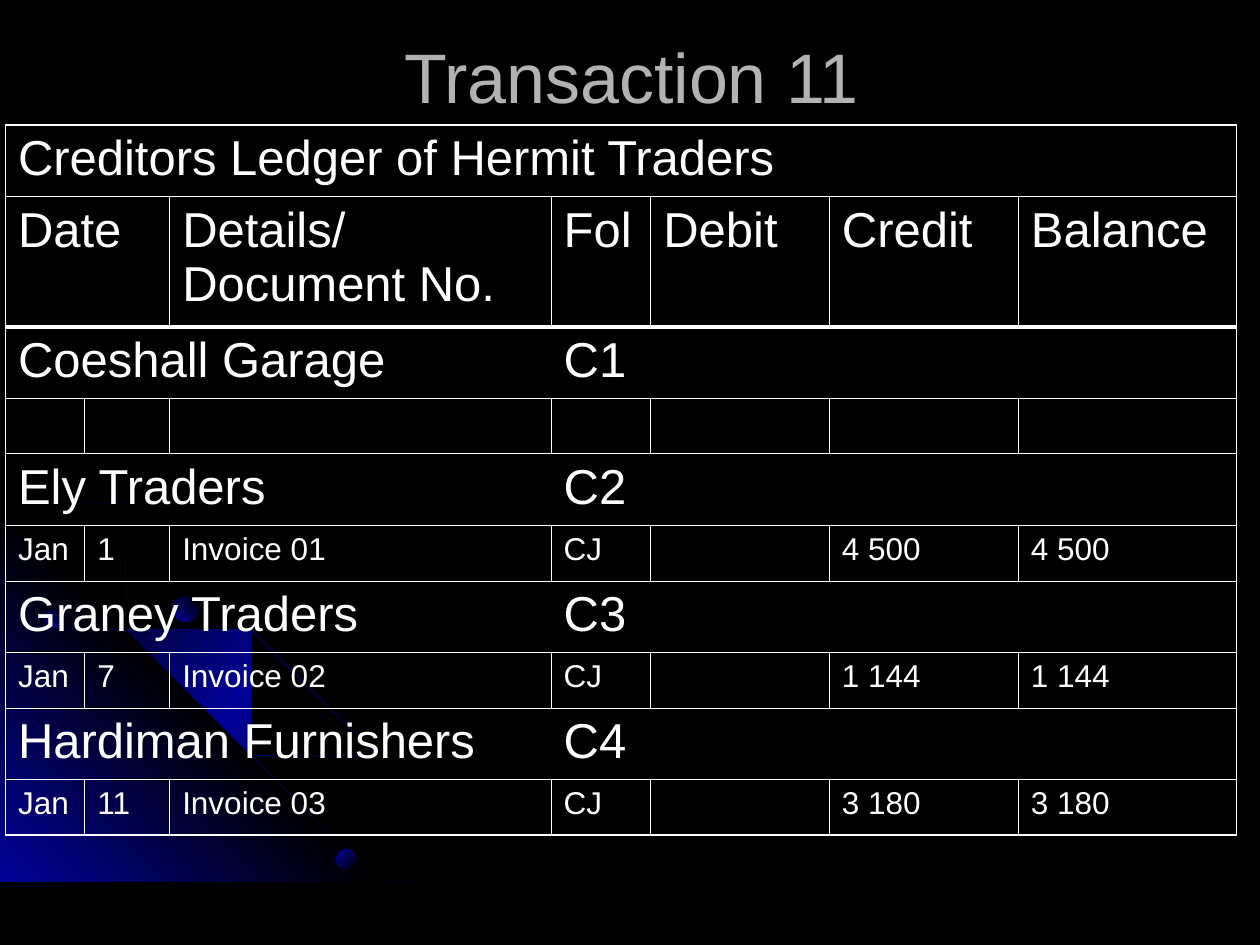
"""Build the creditors ledger slide for transaction 11."""
from lxml.etree import SubElement
from pptx import Presentation
from pptx.dml.color import RGBColor
from pptx.enum.shapes import MSO_SHAPE
from pptx.enum.text import MSO_ANCHOR, PP_ALIGN
from pptx.oxml import parse_xml
from pptx.oxml.ns import nsdecls, qn
from pptx.util import Cm, Pt

BLACK = RGBColor(0x00, 0x00, 0x00)
BLUE = RGBColor(0x01, 0x01, 0x99)
GREY = RGBColor(0xB2, 0xB2, 0xB2)
WHITE = RGBColor(0xFF, 0xFF, 0xFF)

FONT = "Arial"
GRID_SCALE = Cm(2.54)
NO_TABLE_STYLE = "{2D5ABB26-0587-4C30-8999-92F81FD0307C}"
THIN, OUTER, HEADING = 0.45, 1.08, 2.21
FOLIO_TAB = Cm(11)

COLUMN_WIDTHS = [1.6, 1.71, 7.69, 2.01, 3.6, 3.81, 4.4]
HEADING_ROW, NAME_ROW, ENTRY_ROW = 2.61, 1.44, 1.12

HEADINGS = [("Date", 2), ("Details/ Document No.", 1), ("Fol", 1),
            ("Debit", 1), ("Credit", 1), ("Balance", 1)]
ACCOUNTS = [
    ("Coeshall Garage\tC1", [""] * 7),
    ("Ely Traders\tC2", ["Jan", "1", "Invoice 01", "CJ", "", "4 500", "4 500"]),
    ("Graney Traders\tC3", ["Jan", "7", "Invoice 02", "CJ", "", "1 144", "1 144"]),
    ("Hardiman Furnishers\tC4", ["Jan", "11", "Invoice 03", "CJ", "", "3 180", "3 180"]),
]

OUTER_ARC = [
    (0.57, 4.47), (0.28, 4.41), (0, 4.35), (0, 4.38), (0.28, 4.43), (0.56, 4.49),
    (0.97, 4.61), (1.35, 4.78), (1.73, 4.99), (2.08, 5.23), (2.41, 5.49), (2.71, 5.79),
    (2.98, 6.12), (3.23, 6.49), (3.37, 6.73), (3.5, 6.98), (3.6, 7.23), (3.7, 7.49),
    (3.72, 7.49), (3.62, 7.23), (3.52, 6.98), (3.39, 6.73), (3.25, 6.48), (3, 6.11),
    (2.72, 5.78), (2.42, 5.48), (2.09, 5.21), (1.74, 4.97), (1.36, 4.77), (0.98, 4.59),
]
CORNER = [(3.22, 7.49), (0, 7.49), (0, 4.27)]
INNER_ARC = [
    (2.85, 7.14), (2.94, 7.32), (3.01, 7.49), (3.03, 7.49), (2.96, 7.3), (2.86, 7.12),
    (2.66, 6.76), (2.42, 6.4), (2.15, 6.06), (1.84, 5.76), (1.52, 5.49), (1.17, 5.26),
    (0.79, 5.05), (0.41, 4.88), (0, 4.75), (0, 4.77), (0.39, 4.9), (0.77, 5.07),
    (1.15, 5.28), (1.5, 5.51), (1.83, 5.78), (2.13, 6.08), (2.4, 6.42), (2.65, 6.77),
]
MIDDLE_ARC = [
    (0, 4.42), (0, 4.44), (0.36, 4.57), (0.74, 4.75), (1.09, 4.94), (1.42, 5.18),
    (1.73, 5.44), (2.02, 5.75), (2.27, 6.05), (2.52, 6.41), (2.67, 6.67), (2.8, 6.94),
    (2.92, 7.22), (3.01, 7.49), (3.03, 7.49), (2.94, 7.2), (2.82, 6.93), (2.69, 6.65),
    (2.54, 6.39), (2.29, 6.03), (2.04, 5.73), (1.75, 5.43), (1.44, 5.16), (1.11, 4.93),
    (0.76, 4.73), (0.39, 4.55),
]


def paint_gradient(shape, colours, angle):
    """Fill a shape with evenly spaced gradient colours and no outline."""
    shape.shadow.inherit = False
    shape.line.fill.background()
    stops = "".join(
        f'<a:gs pos="{100000 * index // (len(colours) - 1)}">'
        f'<a:srgbClr val="{colour}"/></a:gs>'
        for index, colour in enumerate(colours))
    gradient = parse_xml(
        f'<a:gradFill {nsdecls("a")} rotWithShape="1"><a:gsLst>{stops}</a:gsLst>'
        f'<a:lin ang="{angle * 60000}" scaled="0"/></a:gradFill>')
    shape.element.spPr.find(qn("a:ln")).addprevious(gradient)


def add_outline(page, points, colours, angle):
    """Draw a closed outline with a gradient fill."""
    builder = page.shapes.build_freeform(*points[0], scale=GRID_SCALE)
    builder.add_line_segments(points[1:], close=True)
    paint_gradient(builder.convert_to_shape(), colours, angle)


def add_ball(page, left, top, size, angle):
    """Draw a shaded ball."""
    ball = page.shapes.add_shape(
        MSO_SHAPE.OVAL, Cm(left), Cm(top), Cm(size), Cm(size))
    paint_gradient(ball, [BLACK, BLUE], angle)


def add_run(paragraph, text, size, colour):
    """Add one formatted run to a paragraph."""
    span = paragraph.add_run()
    span.text = text
    span.font.name = FONT
    span.font.size = Pt(size)
    span.font.color.rgb = colour


def add_title(page, text):
    """Add the centred slide title."""
    box = page.shapes.add_textbox(Cm(1.3), Cm(0.53), Cm(22.86), Cm(2))
    frame = box.text_frame
    frame.word_wrap = True
    frame.vertical_anchor = MSO_ANCHOR.MIDDLE
    paragraph = frame.paragraphs[0]
    paragraph.alignment = PP_ALIGN.CENTER
    add_run(paragraph, text, 40, GREY)


def add_border(cell, side, width):
    """Add a white border to one side of a cell."""
    line = SubElement(cell._tc.get_or_add_tcPr(), qn(f"a:ln{side}"), w=str(Pt(width)))
    SubElement(SubElement(line, qn("a:solidFill")), qn("a:srgbClr"), val=str(WHITE))


def fill_cell(cell, text, size):
    """Write a cell's text, with a tab stop where it has a folio."""
    paragraph = cell.text_frame.paragraphs[0]
    if "\t" in text:
        stops = SubElement(paragraph._p.get_or_add_pPr(), qn("a:tabLst"))
        SubElement(stops, qn("a:tab"), pos=str(FOLIO_TAB), algn="l")
    paragraph.font.size = Pt(size)
    if text:
        add_run(paragraph, text, size, WHITE)


def ledger_rows():
    """List each row as its height, text size and (text, span) entries."""
    width = len(COLUMN_WIDTHS)
    rows = [(NAME_ROW, 28, [("Creditors Ledger of Hermit Traders", width)]),
            (HEADING_ROW, 28, HEADINGS)]
    for name, entries in ACCOUNTS:
        rows.append((NAME_ROW, 28, [(name, width)]))
        rows.append((ENTRY_ROW, 18, [(entry, 1) for entry in entries]))
    return rows


def add_ledger(page):
    """Add the ledger table with merged cells and ruled borders."""
    rows = ledger_rows()
    last_row, last_column = len(rows), len(COLUMN_WIDTHS)
    frame = page.shapes.add_table(
        last_row, last_column, Cm(0.11), Cm(2.52),
        Cm(sum(COLUMN_WIDTHS)), Cm(sum(row[0] for row in rows)))
    table = frame.table
    table.first_row = table.horz_banding = False
    table._tbl.tblPr.find(qn("a:tableStyleId")).text = NO_TABLE_STYLE
    for column, width in zip(table.columns, COLUMN_WIDTHS):
        column.width = Cm(width)
    across = {0: OUTER, 2: HEADING, last_row: OUTER}
    upright = {0: OUTER, last_column: OUTER}
    for index, (height, size, entries) in enumerate(rows):
        table.rows[index].height = Cm(height)
        start = 0
        for text, span in entries:
            end = start + span
            first = table.cell(index, start)
            if span > 1:
                first.merge(table.cell(index, end - 1))
            fill_cell(first, text, size)
            for position in range(start, end):
                cell = table.cell(index, position)
                if position == start:
                    add_border(cell, "L", upright.get(start, THIN))
                if position in (start, end - 1):
                    add_border(cell, "R", upright.get(end, THIN))
                add_border(cell, "T", across.get(index, THIN))
                add_border(cell, "B", across.get(index + 1, THIN))
                cell.fill.background()
            start = end


def main():
    """Build and save the slide."""
    deck = Presentation()
    deck.slide_width, deck.slide_height = Cm(25.4), Cm(19.05)
    page = deck.slides.add_slide(deck.slide_layouts[6])
    page.background.fill.solid()
    page.background.fill.fore_color.rgb = BLACK
    add_outline(page, OUTER_ARC, [BLACK, BLUE, BLACK], 225)
    add_outline(page, CORNER, [BLUE, BLACK, BLUE], 135)
    for arc in (INNER_ARC, MIDDLE_ARC):
        add_outline(page, arc, [BLACK, BLUE, BLACK], 225)
    add_ball(page, 0.91, 12.27, 0.38, 135)
    add_ball(page, 6.78, 17.12, 0.41, 225)
    add_ball(page, 3.48, 12.01, 0.53, 135)
    add_title(page, "Transaction 11")
    add_ledger(page)
    deck.save("out.pptx")


if __name__ == "__main__":
    main()
